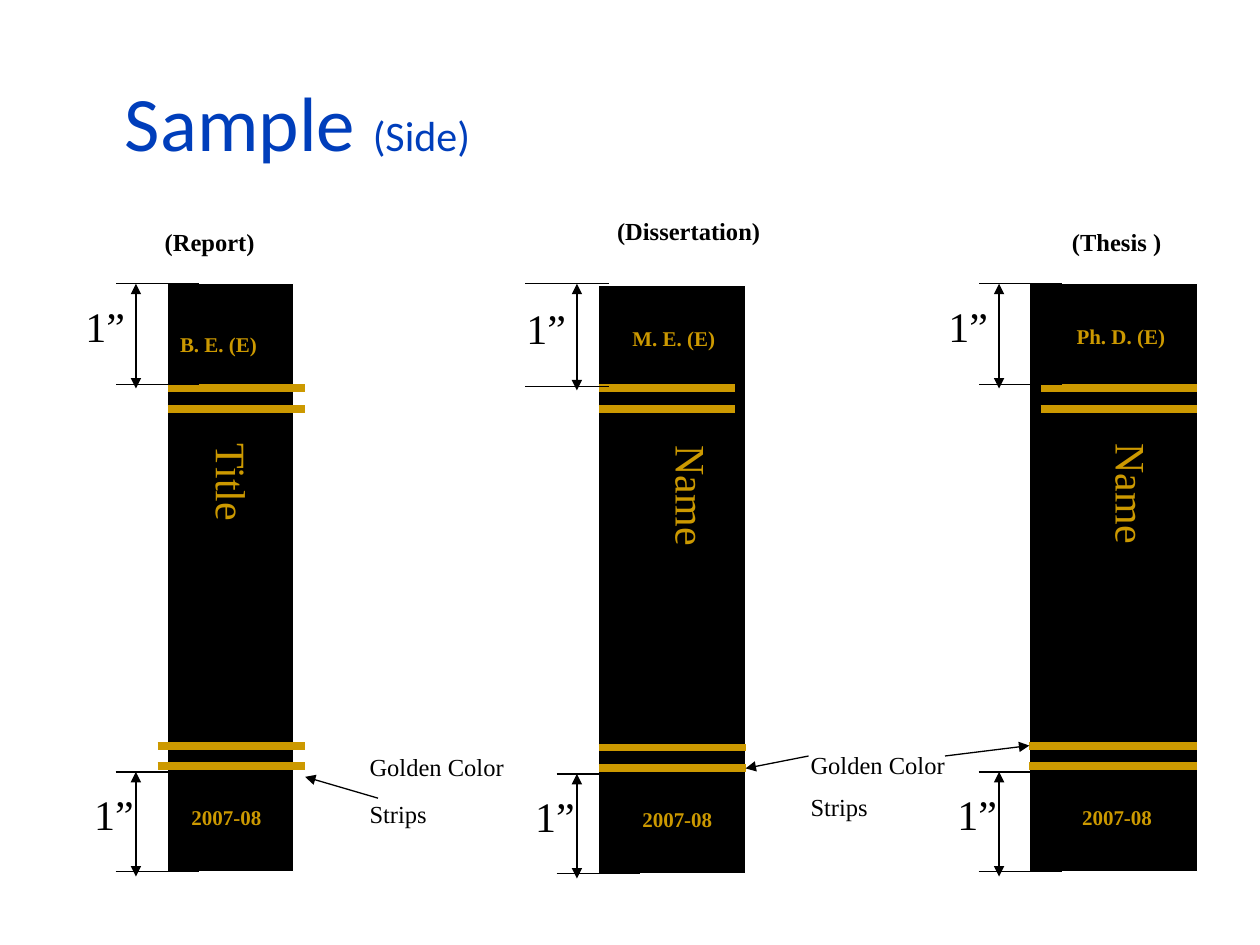
"""Build the slide that shows the spine layout of a report, a dissertation and a thesis."""
import lxml.etree
import pptx
import pptx.dml.color
import pptx.enum.shapes
import pptx.enum.text
import pptx.oxml.ns
import pptx.util

Cm, Pt = pptx.util.Cm, pptx.util.Pt
ALIGN = pptx.enum.text.PP_ALIGN
ANCHOR = pptx.enum.text.MSO_ANCHOR
FIT = pptx.enum.text.MSO_AUTO_SIZE

THEME = {
    "heading": {"name": "Calibri", "size": 44, "color": "003EBB"},
    "subheading": {"name": "Calibri", "size": 24, "color": "003EBB"},
    "caption": {"name": "Times New Roman", "size": 14, "bold": True, "color": "000000"},
    "note": {"name": "Times New Roman", "size": 14, "color": "000000"},
    "measure": {"name": "Times New Roman", "size": 24, "color": "000000"},
    "mark": {"name": "Times New Roman", "size": 12, "bold": True, "color": "CC9900"},
    "lettering": {"name": "Times New Roman", "size": 24, "color": "CC9900"},
    "ink": "000000", "gold": "CC9900", "edge": "FFFFFF",
    "hairline": 0.75, "strip": 4.5,
}

BOOKS = [
    {"caption": ("(Report)", 3.07, 4.45), "spine": (3.38, 2.54), "drop": 0,
     "degree": ("B. E. (E)", 3.38, 6.55, 2.11), "year": ("2007-08", 3.61, 2.34),
     "lettering": ("Title", 3.81), "align": ALIGN.LEFT,
     "upper": (3.38, 6.15), "lower": (3.18, 6.15),
     "gauge": 2.74, "upper_ticks": (2.34, 4.01)},
    {"caption": ("(Dissertation)", 12.19, 4.24), "spine": (12.07, 2.96), "drop": 0.04,
     "degree": ("M. E. (E)", 12.5, 6.43, 2.51), "year": ("2007-08", 12.7, 2.11),
     "lettering": ("Name", 13.08), "align": ALIGN.LEFT,
     "upper": (12.07, 14.82), "lower": (12.07, 15.03),
     "gauge": 11.63, "upper_ticks": (10.59, 12.27)},
    {"caption": ("(Thesis )", 21.36, 4.45), "spine": (20.75, 3.39), "drop": 0,
     "degree": ("Ph. D. (E)", 21.16, 6.4, 2.87), "year": ("2007-08", 21.21, 2.62),
     "lettering": ("Name", 21.95), "align": ALIGN.CENTER,
     "upper": (20.98, 24.13), "lower": (20.75, 24.13),
     "gauge": 20.14, "upper_ticks": (19.74, 21.41)},
]
MEASURE = "1”"
STRIP_NOTES = [("Golden Color Strips", 7.2, 15.03, 1.0), ("Golden Color Strips", 16.09, 15.07, 0.9)]
POINTERS = [((7.62, 16.09), (6.15, 15.66)), ((16.3, 15.24), (15.03, 15.49)),
            ((19.05, 15.24), (20.75, 15.03))]

SPINE_TOP, SPINE_HEIGHT = 5.72, 11.85
UPPER_STRIPS, LOWER_STRIPS, STRIP_GAP = 7.83, 15.03, 0.42


def rgb(color):
    return pptx.dml.color.RGBColor.from_string(color)


def add_run(paragraph, text, style):
    run = paragraph.add_run()
    run.text = text
    formats = dict(THEME[style])
    run.font.color.rgb = rgb(formats.pop("color"))
    formats["size"] = Pt(formats["size"])
    for attribute, value in formats.items():
        setattr(run.font, attribute, value)
    return run


def add_label(slide, box, text, style, align=ALIGN.LEFT, **frame_formats):
    label = slide.shapes.add_textbox(*map(Cm, box))
    formats = {"word_wrap": True, "auto_size": FIT.SHAPE_TO_FIT_TEXT, **frame_formats}
    for attribute, value in formats.items():
        setattr(label.text_frame, attribute, value)
    paragraph = label.text_frame.paragraphs[0]
    paragraph.alignment = align
    add_run(paragraph, text, style)
    return label


def add_line(slide, start, end, color=THEME["ink"], weight=THEME["hairline"], arrows=()):
    line = slide.shapes.add_connector(
        pptx.enum.shapes.MSO_CONNECTOR.STRAIGHT, *map(Cm, (*start, *end)))
    line.line.color.rgb = rgb(color)
    line.line.width = Pt(weight)
    qn, properties = pptx.oxml.ns.qn, line.element.spPr
    for arrow in arrows:
        lxml.etree.SubElement(properties.find(qn("a:ln")), qn(f"a:{arrow}"), type="triangle")
    lxml.etree.SubElement(properties, qn("a:effectLst"))


def add_gauge(slide, x, ticks, top, bottom, overshoot, label_box):
    add_line(slide, (x, top), (x, bottom + overshoot), arrows=("headEnd", "tailEnd"))
    for y in (top, bottom):
        add_line(slide, (ticks[0], y), (ticks[1], y))
    add_label(slide, label_box, MEASURE, "measure")


def add_book(slide, book):
    drop, gauge = book["drop"], book["gauge"]
    left, width = book["spine"]
    spine = slide.shapes.add_shape(
        pptx.enum.shapes.MSO_SHAPE.RECTANGLE,
        *map(Cm, (left, SPINE_TOP + drop, width, SPINE_HEIGHT)))
    spine.shadow.inherit = False
    spine.fill.solid()
    spine.fill.fore_color.rgb = rgb(THEME["ink"])
    spine.line.color.rgb = rgb(THEME["edge"])
    spine.line.width = Pt(THEME["hairline"])

    for (start, end), top in ((book["upper"], UPPER_STRIPS), (book["lower"], LOWER_STRIPS + drop)):
        for y in (top, top + STRIP_GAP):
            add_line(slide, (start, y), (end, y), THEME["gold"], THEME["strip"])

    add_gauge(slide, gauge, book["upper_ticks"], SPINE_TOP, 7.75 + drop, 0.08,
              (gauge - 1.27, 5.93 + drop, 1.48, 1.27))
    add_gauge(slide, gauge, (gauge - 0.41, gauge + 1.27), 15.56 + drop, 17.57 + drop, 0.1,
              (gauge - 1.09, 15.77 + drop, 1.48, 1.27))

    degree, x, y, span = book["degree"]
    add_label(slide, (x, y, span, 0.76), degree, "mark", book["align"])
    year, x, span = book["year"]
    add_label(slide, (x, 16.09 + drop, span, 0.76), year, "mark", book["align"])
    lettering, x = book["lettering"]
    upright = add_label(
        slide, (x, 8.69 + drop, 1.52, 5.72), lettering, "lettering", ALIGN.CENTER,
        margin_left=Cm(0.13), margin_right=Cm(0.13), margin_top=Cm(0.25), margin_bottom=Cm(0.25))
    upright.element.txBody.bodyPr.set("vert", "eaVert")
    caption, x, y = book["caption"]
    add_label(slide, (x, y, 4.2, 0.86), caption, "caption")


def main():
    deck = pptx.Presentation()
    deck.slide_width, deck.slide_height = Cm(25.4), Cm(19.05)
    slide = deck.slides.add_slide(deck.slide_layouts[6])

    heading = add_label(slide, (2.11, 1.47, 16.71, 1.91), "Sample ", "heading",
                        auto_size=FIT.NONE, vertical_anchor=ANCHOR.MIDDLE, margin_left=Cm(0.41))
    add_run(heading.text_frame.paragraphs[0], "(Side)", "subheading")

    for book in BOOKS:
        add_book(slide, book)
    for text, x, y, spacing in STRIP_NOTES:
        note = add_label(slide, (x, y, 4.02, 1.8), text, "note")
        paragraph = note.text_frame.paragraphs[0]
        paragraph.line_spacing = spacing
        add_run(paragraph, " ", "measure")
    for start, end in POINTERS:
        add_line(slide, start, end, arrows=("tailEnd",))

    deck.save("out.pptx")


if __name__ == "__main__":
    main()
